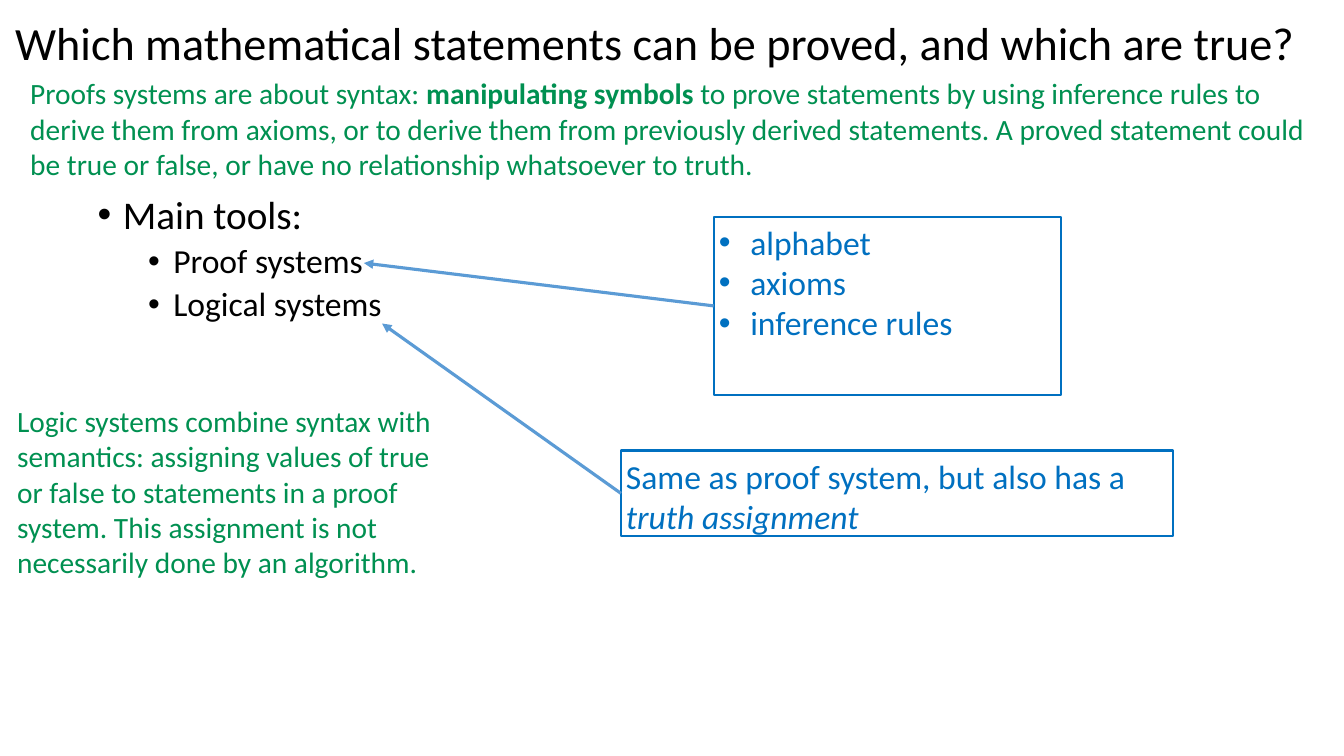
from dataclasses import dataclass

from lxml import etree
from pptx import Presentation
from pptx.dml.color import RGBColor
from pptx.enum import shapes, text
from pptx.oxml import ns
from pptx.util import Pt


@dataclass(frozen=True)
class Theme:
    font: str = "Calibri"
    ink: str = "000000"
    blue: str = "0070C0"
    green: str = "009051"
    arrow: str = "5B9BD5"
    title: float = 33
    head: float = 28
    body: float = 24
    note: float = 21
    edge: float = 1.5
    stroke: float = 2.25
    inset: float = 3.6


@dataclass(frozen=True)
class Run:
    words: str
    bold: bool = False
    slant: bool = False


@dataclass(frozen=True)
class Para:
    runs: tuple[Run, ...]
    size: float
    color: str
    left: float = 0
    hang: float = 0
    level: int = 0
    before: float = 0
    line: float = 1


@dataclass(frozen=True)
class Block:
    x: float
    y: float
    w: float
    h: float
    paras: tuple[Para, ...]
    middle: bool = False


@dataclass(frozen=True)
class Callout:
    block: Block
    tip: tuple[float, float]


THEME = Theme()


def note(*runs: Run) -> tuple[Para, ...]:
    return (Para(runs, THEME.note, THEME.green),)


def tool(words: str) -> Para:
    return Para((Run(words),), THEME.body, THEME.ink, 54, 18, 1, 5, 0.9)


def part(words: str) -> Para:
    return Para((Run(words),), THEME.body, THEME.blue, 22.5, 22.5)


TEXTS = (
    Block(7.2, 1.4, 946, 62, (
        Para((Run("Which mathematical statements can be proved, and which are true?"),),
             THEME.title, THEME.ink, line=0.9),
    ), True),
    Block(66.2, 136, 828, 343, (
        Para((Run("Main tools:"),), THEME.head, THEME.ink, 18, 18, 0, 10, 0.9),
        tool("Proof systems"),
        tool("Logical systems"),
    )),
    Block(18, 50.4, 923, 80.6, note(
        Run("Proofs systems are about syntax: "),
        Run("manipulating symbols", bold=True),
        Run(" to prove statements by using inference rules to derive them from axioms, "
            "or to derive them from previously derived statements. A proved statement "
            "could be true or false, or have no relationship whatsoever to truth."),
    )),
    Block(8.6, 284.4, 308.2, 132.5, note(
        Run("Logic systems combine syntax with semantics: assigning values of true or "
            "false to statements in a proof system. This assignment is not necessarily "
            "done by an algorithm."),
    )),
)

CALLOUTS = (
    Callout(Block(509.8, 154.8, 248.4, 127.4, (
        part("alphabet"), part("axioms"), part("inference rules"),
    )), (259.9, 187.9)),
    Callout(Block(443.5, 321.8, 394.6, 61.2, (
        Para((Run("Same as proof system, but also has a "),
              Run("truth assignment", slant=True)), THEME.body, THEME.blue),
    )), (272.9, 231.1)),
)


def write(shape, block: Block) -> None:
    frame = shape.text_frame
    frame.word_wrap = True
    frame.margin_left = frame.margin_right = Pt(THEME.inset)
    frame.margin_top = frame.margin_bottom = Pt(THEME.inset)
    anchor = text.MSO_ANCHOR
    frame.vertical_anchor = anchor.MIDDLE if block.middle else anchor.TOP
    for i, item in enumerate(block.paras):
        para = frame.add_paragraph() if i else frame.paragraphs[0]
        para.alignment = text.PP_ALIGN.LEFT
        para.level = item.level
        para.line_spacing = item.line
        para.space_before = Pt(item.before)
        if item.hang:
            props = para._p.get_or_add_pPr()
            props.set("marL", str(Pt(item.left)))
            props.set("indent", str(-Pt(item.hang)))
            etree.SubElement(props, ns.qn("a:buFont"), typeface="Arial")
            etree.SubElement(props, ns.qn("a:buChar"), char="•")
        para.font.name = THEME.font
        para.font.size = Pt(item.size)
        para.font.color.rgb = RGBColor.from_string(item.color)
        for piece in item.runs:
            run = para.add_run()
            run.text = piece.words
            if piece.bold:
                run.font.bold = True
            if piece.slant:
                run.font.italic = True


def label(slide, block: Block) -> None:
    box = slide.shapes.add_textbox(Pt(block.x), Pt(block.y), Pt(block.w), Pt(block.h))
    write(box, block)


def callout(slide, item: Callout) -> None:
    block = item.block
    box = slide.shapes.add_shape(
        shapes.MSO_SHAPE.RECTANGLE, Pt(block.x), Pt(block.y), Pt(block.w), Pt(block.h))
    box.shadow.inherit = False
    box.fill.background()
    box.line.color.rgb = RGBColor.from_string(THEME.blue)
    box.line.width = Pt(THEME.edge)
    write(box, block)

    x, y = item.tip
    arrow = slide.shapes.add_connector(
        shapes.MSO_CONNECTOR.STRAIGHT,
        Pt(block.x), Pt(block.y + block.h / 2), Pt(x), Pt(y))
    arrow.begin_connect(box, 1)
    arrow.line.color.rgb = RGBColor.from_string(THEME.arrow)
    arrow.line.width = Pt(THEME.stroke)
    etree.SubElement(arrow.line._get_or_add_ln(), ns.qn("a:tailEnd"), type="triangle")
    etree.SubElement(arrow._element.spPr, ns.qn("a:effectLst"))


def main() -> None:
    deck = Presentation()
    deck.slide_width, deck.slide_height = Pt(960), Pt(540)
    slide = deck.slides.add_slide(deck.slide_layouts[6])
    for block in TEXTS[:2]:
        label(slide, block)
    for item in CALLOUTS:
        callout(slide, item)
    for block in TEXTS[2:]:
        label(slide, block)
    deck.save("out.pptx")


if __name__ == "__main__":
    main()
